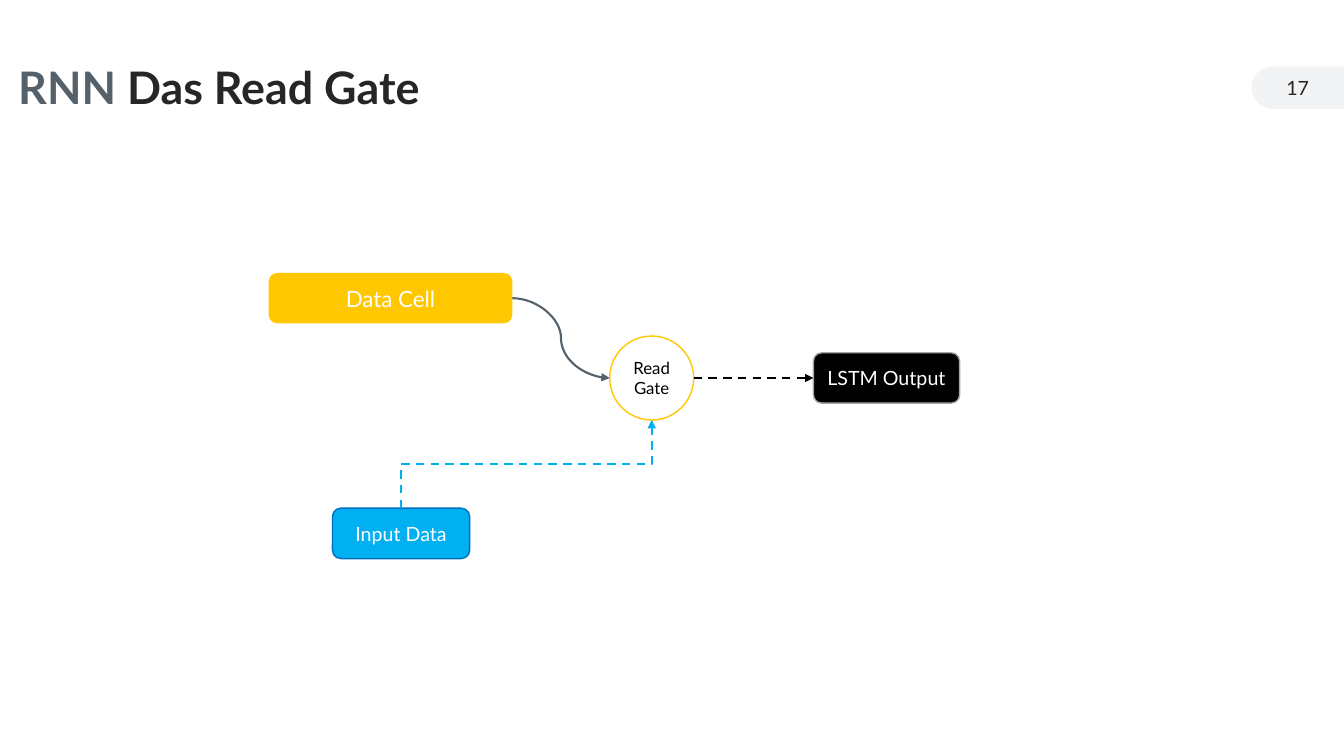
import math

from lxml import etree
from pptx import Presentation
from pptx.dml.color import RGBColor
from pptx.enum.dml import MSO_LINE
from pptx.enum.shapes import MSO_CONNECTOR, MSO_SHAPE
from pptx.enum.text import MSO_ANCHOR, MSO_AUTO_SIZE, PP_ALIGN
from pptx.oxml.ns import qn
from pptx.util import Pt

ROUNDED, OVAL = MSO_SHAPE.ROUNDED_RECTANGLE, MSO_SHAPE.OVAL
STRAIGHT, ELBOW, CURVE = MSO_CONNECTOR.STRAIGHT, MSO_CONNECTOR.ELBOW, MSO_CONNECTOR.CURVE
DASH = MSO_LINE.DASH
MIDDLE = MSO_ANCHOR.MIDDLE
CENTER, LEFT = PP_ALIGN.CENTER, PP_ALIGN.LEFT
NO_AUTOFIT = MSO_AUTO_SIZE.NONE
COLORS = {
    "slate": "55616A", "ink": "262626", "mist": "F1F3F5", "yellow": "FFC700",
    "white": "FFFFFF", "black": "000000", "sky": "00B0F0", "blue": "0070C0", "gray": "A6A6A6",
}


def rgb(name):
    return RGBColor.from_string(COLORS[name])


class GateSlide:
    """Holds the slide and its font, and draws each kind of element."""

    def __init__(self, presentation, font="Lato"):
        self.slide = presentation.slides.add_slide(presentation.slide_layouts[5])
        self.font = font

    def style_run(self, run, size, color, bold=False):
        run.font.name, run.font.size, run.font.bold = self.font, Pt(size), bold
        run.font.color.rgb = rgb(color)

    def title(self, left, top, width, height, parts):
        shape = self.slide.shapes.title
        shape.left, shape.top, shape.width, shape.height = map(Pt, (left, top, width, height))
        frame = shape.text_frame
        frame.auto_size, frame.word_wrap, frame.vertical_anchor = NO_AUTOFIT, True, MIDDLE
        frame.margin_left = frame.margin_right = 0
        paragraph = frame.paragraphs[0]
        paragraph.alignment, paragraph.line_spacing = LEFT, 0.9
        for text, color in parts:
            run = paragraph.add_run()
            run.text = text
            self.style_run(run, 32, color, bold=True)

    def finish(self, shape, text, size, fill, color, line=None):
        shape.shadow.inherit = False
        shape.fill.solid()
        shape.fill.fore_color.rgb = rgb(fill)
        if line:
            shape.line.color.rgb = rgb(line)
            shape.line.width = Pt(1)
        else:
            shape.line.fill.background()
        frame = shape.text_frame
        frame.text = text
        frame.word_wrap, frame.vertical_anchor = True, MIDDLE
        paragraph = frame.paragraphs[0]
        paragraph.alignment = CENTER
        self.style_run(paragraph.runs[0], size, color)
        return shape

    def node(self, kind, box, text, size, fill, color="white", line=None):
        shape = self.slide.shapes.add_shape(kind, *map(Pt, box))
        return self.finish(shape, text, size, fill, color, line)

    def page_tab(self, left, right, middle, radius, number):
        angles = [math.radians(degrees) for degrees in range(90, 271, 6)]
        arc = [(Pt(left + radius + radius * math.cos(angle)),
                Pt(middle + radius * math.sin(angle))) for angle in angles]
        builder = self.slide.shapes.build_freeform(Pt(right), Pt(middle + radius))
        builder.add_line_segments(arc + [(Pt(right), Pt(middle - radius))], close=True)
        shape = self.finish(builder.convert_to_shape(), number, 14, "mist", "ink")
        shape.text_frame.margin_left = shape.text_frame.margin_right = 0

    def arrow(self, kind, start, end, color, dash=None):
        connector = self.slide.shapes.add_connector(kind, *map(Pt, start + end))
        connector.line.color.rgb = rgb(color)
        connector.line.width = Pt(1.5)
        if dash:
            connector.line.dash_style = dash
        line = connector.line._get_or_add_ln()
        etree.SubElement(line, qn("a:tailEnd"), type="triangle")
        etree.SubElement(connector._element.spPr, qn("a:effectLst"))
        return connector

    def rising_elbow(self, start, end, color, dash):
        center_x, center_y = (start[0] + end[0]) / 2, (start[1] + end[1]) / 2
        half_run, half_rise = (end[0] - start[0]) / 2, (start[1] - end[1]) / 2
        connector = self.arrow(ELBOW, (center_x + half_rise, center_y + half_run),
                               (center_x - half_rise, center_y - half_run), color, dash)
        connector._element.spPr.find(qn("a:xfrm")).set("rot", "5400000")


def main():
    presentation = Presentation()
    presentation.slide_width, presentation.slide_height = Pt(960), Pt(540)
    gate_slide = GateSlide(presentation)
    gate_slide.page_tab(894, 960, 62.6, 15.1, "17")
    gate_slide.title(13, 32.4, 623, 63.4, [("RNN ", "slate"), ("Das Read Gate", "ink")])

    gate_slide.node(ROUNDED, (192, 195, 174, 36), "Data Cell", 16, "yellow")
    gate_slide.node(OVAL, (435.5, 240, 60, 60), "Read Gate", 12, "white", "black", "yellow")
    gate_slide.arrow(CURVE, (366, 213), (435.5, 270), "slate")
    gate_slide.node(ROUNDED, (237.5, 363, 98, 36), "Input Data", 14, "sky", line="blue")
    gate_slide.rising_elbow((286.5, 363), (465.5, 300), "sky", DASH)
    output = gate_slide.node(ROUNDED, (581, 252, 104.5, 36), "LSTM Output", 14, "black", line="gray")
    gate_slide.arrow(STRAIGHT, (495.5, 270), (581, 270), "black", DASH).end_connect(output, 1)
    presentation.save("out.pptx")


if __name__ == "__main__":
    main()
